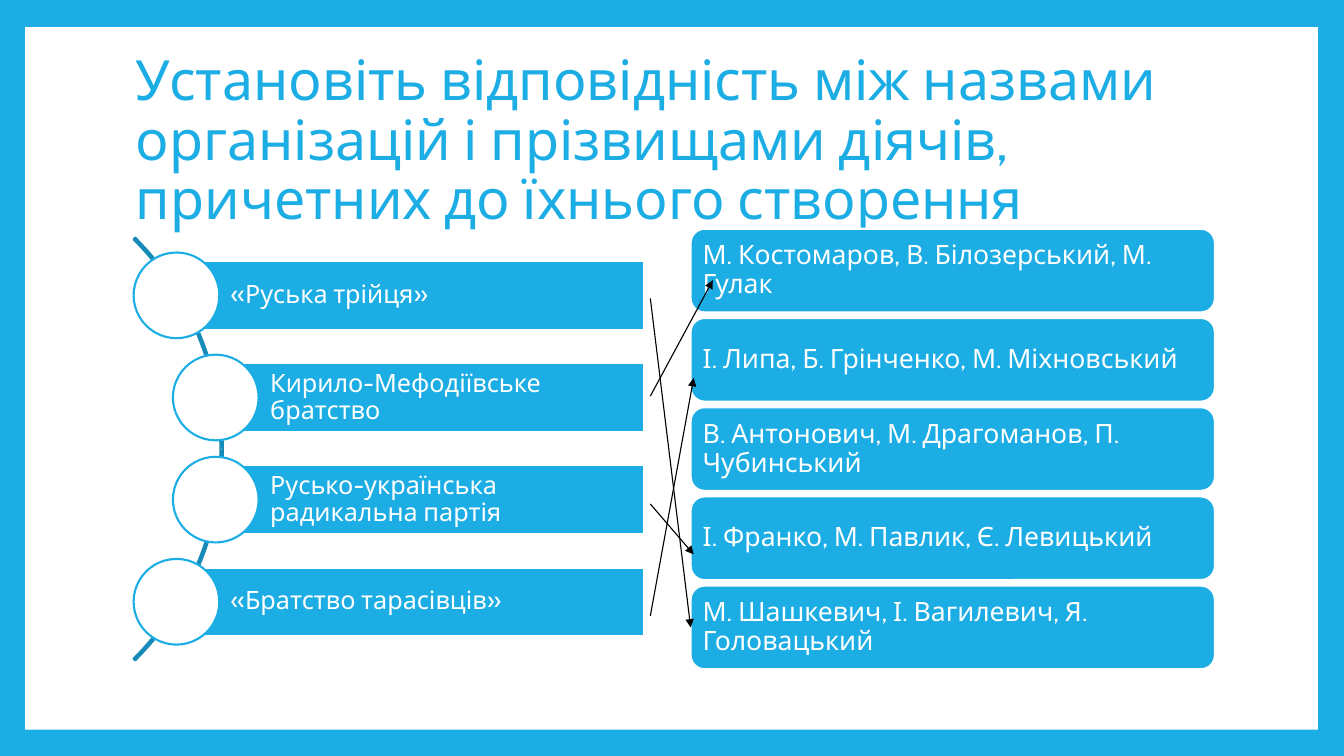
from lxml.etree import SubElement
from pptx import Presentation
from pptx.dml.color import RGBColor
from pptx.enum.shapes import MSO_CONNECTOR, MSO_SHAPE
from pptx.enum.text import MSO_ANCHOR, PP_ALIGN
from pptx.oxml.ns import qn
from pptx.util import Inches, Pt

BLUE, DARK, WHITE, BLACK = "1CADE4", "168BB7", "FFFFFF", "000000"

TITLE = ("Установіть відповідність між назвами організацій і прізвищами діячів, "
         "причетних до їхнього створення")
GROUPS = [
    ("«Руська трійця»", 1.75),
    ("Кирило-Мефодіївське братство", 2.14),
    ("Русько-українська радикальна партія", 2.14),
    ("«Братство тарасівців»", 1.75),
]
PEOPLE = [
    "М. Костомаров, В. Білозерський, М. Гулак",
    "І. Липа, Б. Грінченко, М. Міхновський",
    "В. Антонович, М. Драгоманов, П. Чубинський",
    "І. Франко, М. Павлик, Є. Левицький",
    "М. Шашкевич, І. Вагилевич, Я. Головацький",
]


def color(code):
    return RGBColor.from_string(code)


class Page:
    font = "Cabin"

    def __init__(self, slide, back):
        self.slide = slide
        fill = slide.background.fill
        fill.solid()
        fill.fore_color.rgb = color(back)

    def shape(self, kind, box, fill=None, line=None):
        item = self.slide.shapes.add_shape(kind, *map(Inches, box))
        item.shadow.inherit = False
        if fill:
            item.fill.solid()
            item.fill.fore_color.rgb = color(fill)
        else:
            item.fill.background()
        if line:
            item.line.color.rgb = color(line)
            item.line.width = Pt(1.5)
        else:
            item.line.fill.background()
        return item

    def label(self, item, text, size, ink, left, side):
        """Put left-aligned text in a shape; side is the other three insets."""
        frame = item.text_frame
        frame.word_wrap = True
        frame.vertical_anchor = MSO_ANCHOR.MIDDLE
        frame.margin_left = Inches(left)
        frame.margin_top = frame.margin_right = frame.margin_bottom = Inches(side)
        par = frame.paragraphs[0]
        par.text = text
        par.alignment = PP_ALIGN.LEFT
        par.line_spacing = 0.9
        par.font.name = self.font
        par.font.size = Pt(size)
        par.font.color.rgb = color(ink)

    def title(self, text, box):
        item = self.slide.shapes.add_textbox(*map(Inches, box))
        self.label(item, text, 39.6, BLUE, 0.1, 0.05)

    def arrow(self, start, end):
        item = self.slide.shapes.add_connector(
            MSO_CONNECTOR.STRAIGHT, *map(Inches, start + end))
        item.line.color.rgb = color(BLACK)
        item.line.width = Pt(0.79)
        props = item._element.spPr
        SubElement(props.find(qn("a:ln")), qn("a:tailEnd"), type="triangle")
        SubElement(props, qn("a:effectLst"))
        return item


def main():
    deck = Presentation()
    deck.slide_width, deck.slide_height = Inches(13.33), Inches(7.5)
    page = Page(deck.slides.add_slide(deck.slide_layouts[6]), BLUE)
    page.shape(MSO_SHAPE.RECTANGLE, (0.25, 0.27, 12.82, 6.97), WHITE)
    page.title(TITLE, (1.25, 0.67, 10.8, 1.48))

    arc = page.shape(MSO_SHAPE.BLOCK_ARC, (-3.72, 1.49, 5.93, 5.93), line=DARK)
    for i, value in enumerate((189, 27, 0.004)):
        arc.adjustments[i] = value

    right, high, dot = 6.39, 0.68, 0.85
    for i, (name, left) in enumerate(GROUPS):
        top = 2.59 + i * 3.04 / 3
        bar = page.shape(MSO_SHAPE.RECTANGLE, (left, top, right - left, high), BLUE, WHITE)
        page.label(bar, name, 18, WHITE, 0.54, 0.05)
        page.shape(MSO_SHAPE.OVAL,
                   (left - dot / 2, top + (high - dot) / 2, dot, dot), WHITE, BLUE)

    cards = []
    for i, names in enumerate(PEOPLE):
        card = page.shape(MSO_SHAPE.ROUNDED_RECTANGLE,
                          (6.85, 2.27 + i * 3.54 / 4, 5.2, 0.83), BLUE, WHITE)
        page.label(card, names, 19, WHITE, 0.08, 0.08)
        cards.append(card)

    first = page.arrow((6.45, 2.96), (6.85, 6.23))
    first.end_connect(cards[-1], 1)
    page.arrow((6.45, 3.93), (7.07, 2.78))
    page.arrow((6.45, 5), (6.88, 5.5))
    page.arrow((6.45, 6.11), (6.88, 3.75))
    deck.save("out.pptx")


if __name__ == "__main__":
    main()
